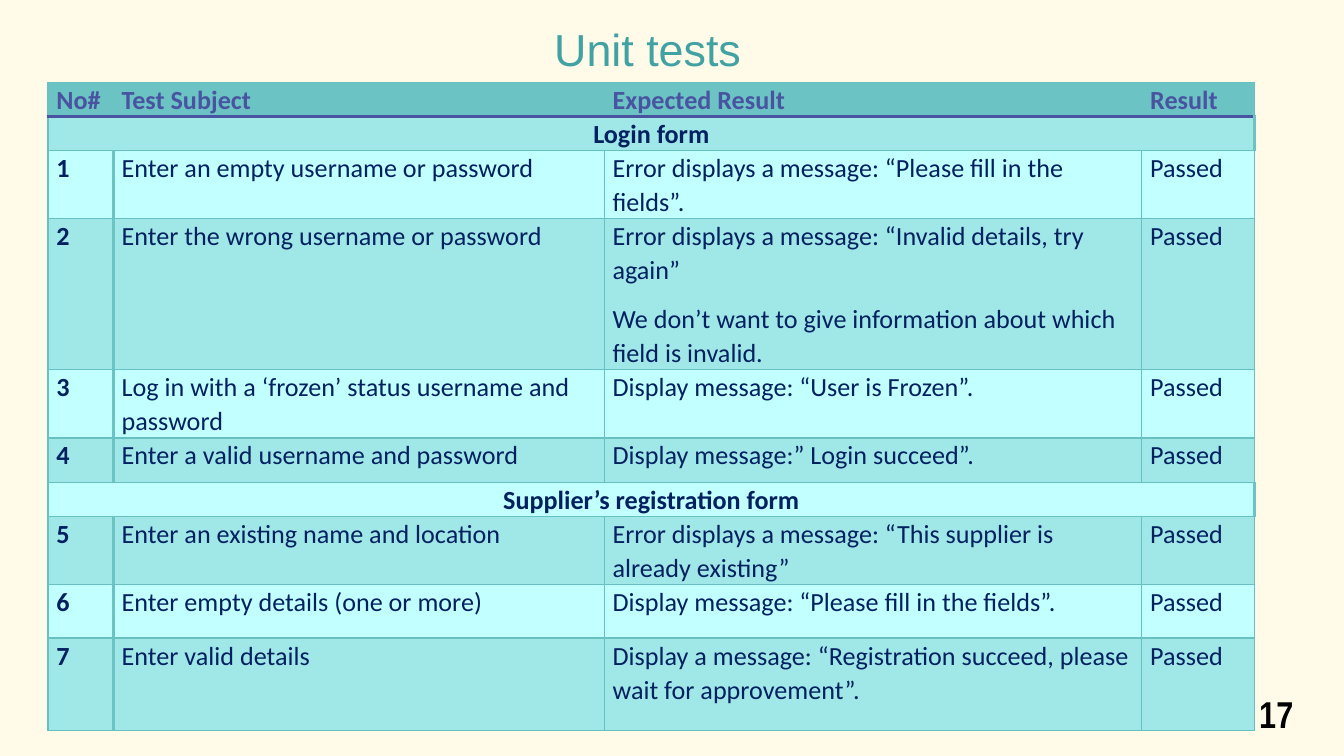
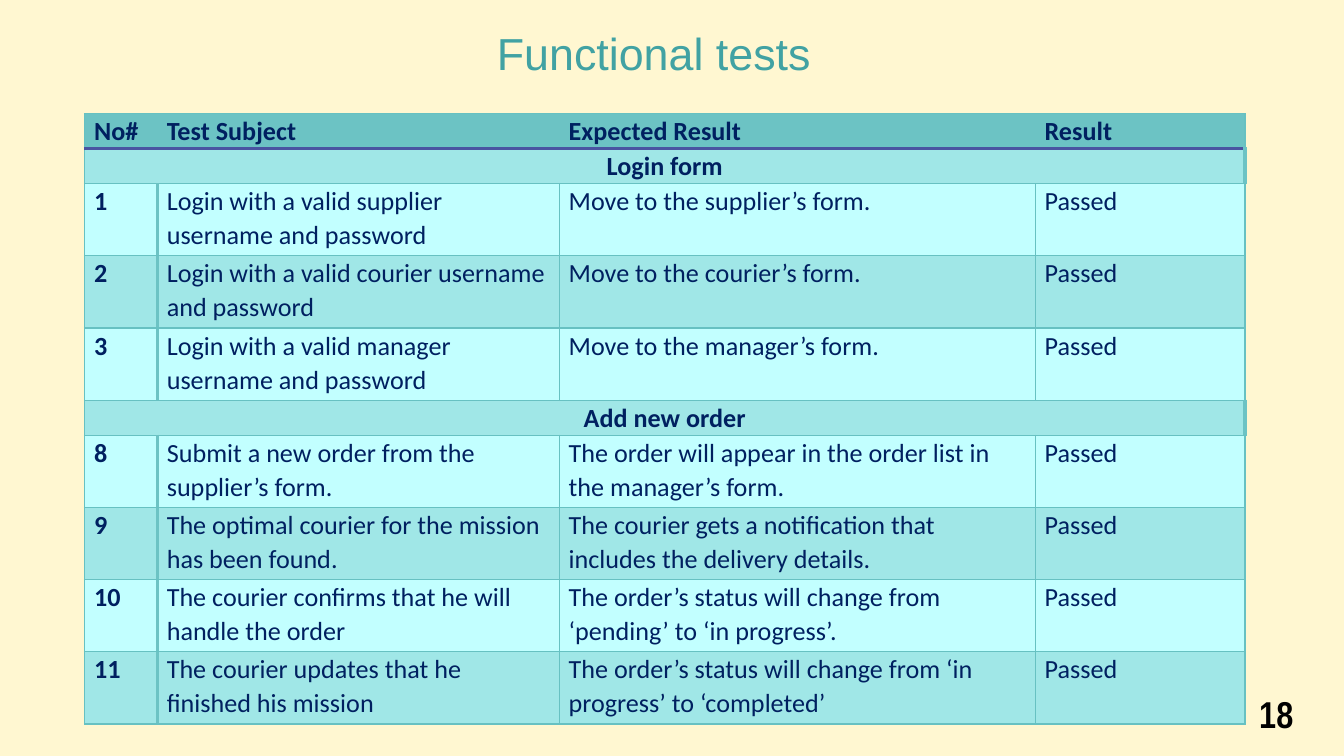
from dataclasses import dataclass

from lxml.etree import SubElement
from pptx import Presentation
from pptx.dml.color import RGBColor as Rgb
from pptx.enum.text import MSO_ANCHOR as Anchor, PP_ALIGN as Align
from pptx.oxml.ns import qn
from pptx.util import Pt


@dataclass(frozen=True)
class Theme:
    title: str = "41A2A3"
    ink: str = "002060"
    accent: str = "4954A1"
    page: str = "000000"
    header: str = "6CC3C4"
    grid: str = "67C1C2"
    light: str = "C2FFFF"
    tint: str = "A0E7E7"
    title_size: float = 24
    page_size: float = 20
    table_size: float = 14
    title_font: str = "Arial"
    page_font: str = "Arial Narrow"
    table_font: str = "Calibri"
    plain_table: str = "{2D5ABB26-0587-4C30-8999-92F81FD0307C}"


class Deck:
    def __init__(self, theme):
        self.theme = theme
        self.prs = Presentation()
        self.prs.slide_width, self.prs.slide_height = Pt(720), Pt(405)
        self.slide = None

    def new_slide(self, background):
        self.slide = self.prs.slides.add_slide(self.prs.slide_layouts[6])
        fill = self.slide.background.fill
        fill.solid()
        fill.fore_color.rgb = Rgb.from_string(background)

    def style(self, frame, font, size, color, bold=False, align=Align.LEFT):
        for paragraph in frame.paragraphs:
            paragraph.alignment = align
            for run in paragraph.runs:
                run.font.name = font
                run.font.size = Pt(size)
                run.font.bold = bold
                run.font.color.rgb = Rgb.from_string(color)

    def text_box(self, text, left, top, width, height, anchor=Anchor.TOP, **look):
        box = self.slide.shapes.add_textbox(Pt(left), Pt(top), Pt(width), Pt(height))
        frame = box.text_frame
        frame.word_wrap = True
        frame.vertical_anchor = anchor
        frame.text = text
        self.style(frame, **look)

    def title(self, text, top):
        t = self.theme
        self.text_box(text, 257, top, 186.5, 36, font=t.title_font,
                      size=t.title_size, color=t.title, align=Align.CENTER)

    def page_number(self, number):
        t = self.theme
        self.text_box(str(number), 667.5, 367, 43, 31, Anchor.MIDDLE,
                      font=t.page_font, size=t.page_size, color=t.page, bold=True)

    def borders(self, cell, edges):
        properties = cell._tc.get_or_add_tcPr()
        lines = []
        for side in "LRTB":
            if side in edges:
                color, width = edges[side]
                line = SubElement(properties, qn(f"a:ln{side}"), w=str(Pt(width)))
                SubElement(SubElement(line, qn("a:solidFill")), qn("a:srgbClr"), val=color)
                lines.append(line)
        # Border lines must precede the cell's fill
        for position, line in enumerate(lines):
            properties.insert(position, line)

    def cell(self, cell, text, fill, color, bold, inset, align=Align.LEFT):
        t = self.theme
        cell.fill.solid()
        cell.fill.fore_color.rgb = Rgb.from_string(fill)
        cell.margin_left = cell.margin_right = Pt(inset)
        cell.margin_top = cell.margin_bottom = 0
        cell.text_frame.text = text
        for paragraph in cell.text_frame.paragraphs:
            paragraph.line_spacing = 1.07
            paragraph.space_after = Pt(8)
        self.style(cell.text_frame, t.table_font, t.table_size, color, bold, align)

    def test_table(self, rows, left, top, widths, heights, inset, header_color):
        """Draw a header row, then test rows; a row given as text is a section."""
        t = self.theme
        thin, thick, rule = (t.grid, 0.75), (t.header, 2), (t.accent, 2)
        last = len(widths) - 1
        frame = self.slide.shapes.add_table(
            len(rows) + 1, len(widths), Pt(left), Pt(top),
            Pt(sum(widths)), Pt(sum(heights)))
        table = frame.table
        table.first_row = table.horz_banding = False
        table._tbl.tblPr.find(qn("a:tableStyleId")).text = t.plain_table
        for column, width in zip(table.columns, widths):
            column.width = Pt(width)
        for row, height in zip(table.rows, heights):
            row.height = Pt(height)

        # Header
        for c, heading in enumerate(HEADINGS):
            cell = table.cell(0, c)
            self.cell(cell, heading, t.header, header_color, True, inset)
            edges = {"T": thin, "B": rule}
            if c == 0:
                edges["L"] = thin
            if c == last:
                edges["R"] = thin
            self.borders(cell, edges)

        # Sections and tests, in alternating bands
        for r, row in enumerate(rows, start=1):
            band = t.tint if r % 2 else t.light
            if isinstance(row, str):
                cell = table.cell(r, 0)
                cell.merge(table.cell(r, last))
                self.cell(cell, row, band, t.ink, True, inset, Align.CENTER)
                self.borders(cell, {"L": thin, "R": thick, "T": thin, "B": thin})
                continue
            for c, text in enumerate((*row, PASSED)):
                cell = table.cell(r, c)
                self.cell(cell, text, band, t.ink, c == 0, inset)
                edges = {"R": thick if c == 0 else thin, "T": thin, "B": thin}
                edges["L"] = thick if c == 1 else thin
                self.borders(cell, edges)


HEADINGS = ("No#", "Test Subject", "Expected Result", "Result")
PASSED = "Passed"

UNIT_TESTS = [
    "Login form",
    ("1", "Enter an empty username or password",
     "Error displays a message: “Please fill in the fields”."),
    ("2", "Enter the wrong username or password",
     "Error displays a message: “Invalid details, try again”\n"
     "We don’t want to give information about which field is invalid."),
    ("3", "Log in with a ‘frozen’ status username and password",
     "Display message: “User is Frozen”."),
    ("4", "Enter a valid username and password", "Display message:” Login succeed”."),
    "Supplier’s registration form",
    ("5", "Enter an existing name and location",
     "Error displays a message: “This supplier is already existing”"),
    ("6", "Enter empty details (one or more)",
     "Display message: “Please fill in the fields”."),
    ("7", "Enter valid details",
     "Display a message: “Registration succeed, please wait for approvement”."),
]

FUNCTIONAL_TESTS = [
    "Login form",
    ("1", "Login with a valid supplier username and password",
     "Move to the supplier’s form."),
    ("2", "Login with a valid courier username and password",
     "Move to the courier’s form."),
    ("3", "Login with a valid manager username and password",
     "Move to the manager’s form."),
    "Add new order",
    ("8", "Submit a new order from the supplier’s form.",
     "The order will appear in the order list in the manager’s form."),
    ("9", "The optimal courier for the mission has been found.",
     "The courier gets a notification that includes the delivery details."),
    ("10", "The courier confirms that he will handle the order",
     "The order’s status will change from ‘pending’ to ‘in progress’."),
    ("11", "The courier updates that he finished his mission",
     "The order’s status will change from ‘in progress’ to ‘completed’"),
]


def main():
    theme = Theme()
    deck = Deck(theme)

    # Unit tests
    deck.new_slide("FFFBE8")
    deck.test_table(UNIT_TESTS, 25.7, 44.2, (35, 263, 288, 60.5),
                    (17.5, 17.5, 34.5, 78, 34.5, 24, 17.5, 34.5, 28.5, 49.7),
                    4.5, theme.accent)
    deck.title("Unit tests ", 8)
    deck.page_number(17)

    # Functional tests
    deck.new_slide("FFF7D1")
    heading_height, test_height = 18.7, 38.7
    heights = [heading_height] + [
        heading_height if isinstance(row, str) else test_height
        for row in FUNCTIONAL_TESTS]
    deck.test_table(FUNCTIONAL_TESTS, 45.3, 61, (39, 215.3, 255, 112.5),
                    heights, 5.1, theme.ink)
    deck.title("Functional tests ", 10)
    deck.page_number(18)

    deck.prs.save("out.pptx")


if __name__ == "__main__":
    main()
